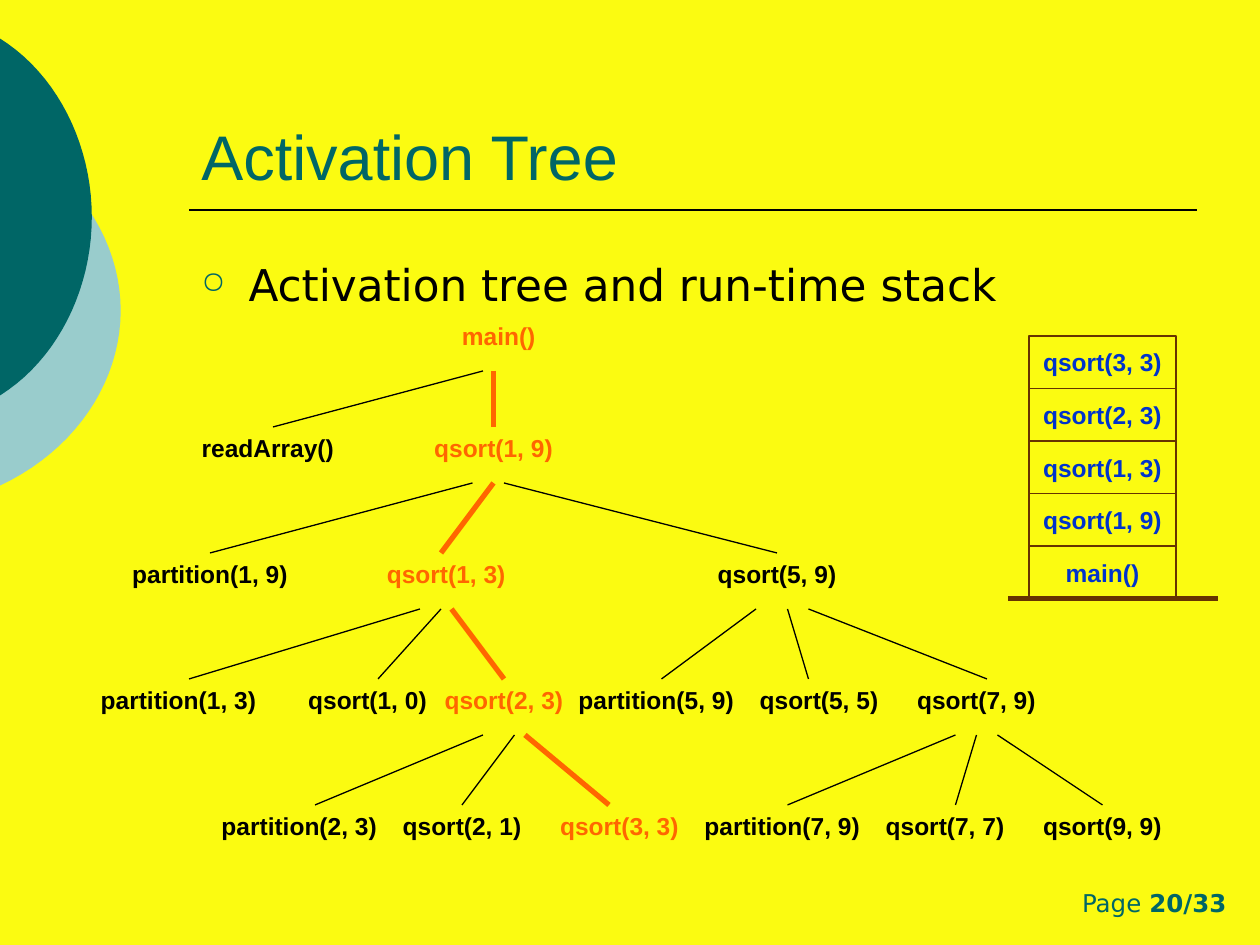
from lxml.etree import SubElement
from pptx import Presentation
from pptx.dml.color import RGBColor
from pptx.enum.shapes import MSO_CONNECTOR, MSO_SHAPE
from pptx.enum.text import MSO_ANCHOR, PP_ALIGN
from pptx.oxml.ns import qn
from pptx.util import Pt

YELLOW = RGBColor(0xFB, 0xFB, 0x11)
TEAL = RGBColor(0x00, 0x66, 0x66)
PALE = RGBColor(0x99, 0xCC, 0xCC)
BLACK = RGBColor(0x00, 0x00, 0x00)
ORANGE = RGBColor(0xFF, 0x66, 0x00)
BROWN = RGBColor(0x66, 0x33, 0x00)
BLUE = RGBColor(0x00, 0x33, 0xCC)
SANS = "DejaVu Sans"

ROOT = ("main()", 234, 102, ORANGE)
TOPS = (180, 244, 316, 388, 460)
STEM = 32
LEVELS = (
    (
        ("readArray()", 108, 90, 276, 156, BLACK),
        ("qsort(1, 9)", 222, 120, 282, 282, ORANGE),
    ),
    (
        ("partition(1, 9)", 66, 108, 270, 120, BLACK),
        ("qsort(1, 3)", 198, 114, 282, 252, ORANGE),
        ("qsort(5, 9)", 402, 84, 288, 444, BLACK),
    ),
    (
        ("partition(1, 3)", 48, 108, 240, 108, BLACK),
        ("qsort(1, 0)", 162, 96, 252, 216, BLACK),
        ("qsort(2, 3)", 228, 120, 258, 288, ORANGE),
        ("partition(5, 9)", 318, 114, 432, 378, BLACK),
        ("qsort(5, 5)", 420, 96, 450, 462, BLACK),
        ("qsort(7, 9)", 504, 108, 462, 564, BLACK),
    ),
    (
        ("partition(2, 3)", 114, 114, 276, 180, BLACK),
        ("qsort(2, 1)", 216, 96, 294, 264, BLACK),
        ("qsort(3, 3)", 300, 108, 300, 348, ORANGE),
        ("partition(7, 9)", 390, 114, 546, 450, BLACK),
        ("qsort(7, 7)", 492, 96, 558, 546, BLACK),
        ("qsort(9, 9)", 576, 108, 570, 630, BLACK),
    ),
)
STACK = ("qsort(3, 3)", "qsort(2, 3)", "qsort(1, 3)", "qsort(1, 9)", "main()")


def style(run, size, color, bold=False, face="Arial"):
    font = run.font
    font.size, font.bold, font.name = Pt(size), bold, face
    font.color.rgb = color


def add_text(slide, text, box, size, color, bold=False, face="Arial",
             align=PP_ALIGN.LEFT, anchor=MSO_ANCHOR.TOP):
    frame = slide.shapes.add_textbox(*map(Pt, box)).text_frame
    frame.word_wrap = True
    frame.vertical_anchor = anchor
    frame.text = text
    par = frame.paragraphs[0]
    par.alignment = align
    style(par.runs[0], size, color, bold, face)
    return par


def add_line(slide, start, end, color, width):
    line = slide.shapes.add_connector(
        MSO_CONNECTOR.STRAIGHT, *map(Pt, start + end))
    line.line.color.rgb = color
    line.line.width = Pt(width)
    SubElement(line._element.spPr, qn("a:effectLst"))


def add_arc(slide, right, middle, half, color):
    points = []
    for step in range(41):
        t = step / 20 - 1
        s = 1 - abs(t)
        x = right * (1.86 * s * (1 - s) ** 2 + 3 * s * s * (1 - s) + s ** 3)
        y = half * (0.6 * s * (1 - s) ** 2 + 1.77 * s * s * (1 - s) + s ** 3)
        offset = half - y
        points.append((Pt(x), Pt(middle + (offset if t > 0 else -offset))))
    path = slide.shapes.build_freeform(*points[0], scale=1.0)
    path.add_line_segments(points[1:], close=True)
    shape = path.convert_to_shape()
    shape.shadow.inherit = False
    shape.fill.solid()
    shape.fill.fore_color.rgb = color
    shape.line.fill.background()


def add_bullet(par):
    props = par._p.get_or_add_pPr()
    props.set("marL", str(Pt(27)))
    props.set("indent", str(Pt(-27)))
    tint = SubElement(props, qn("a:buClr"))
    SubElement(tint, qn("a:srgbClr"), val=str(TEAL))
    SubElement(props, qn("a:buSzPct"), val="70000")
    SubElement(props, qn("a:buChar"), char="○")


def add_node(slide, text, left, top, width, color):
    add_text(slide, text, (left, top, width, 24), 14, color, True,
             align=PP_ALIGN.CENTER)


def add_tree(slide):
    text, left, width, color = ROOT
    add_node(slide, text, left, TOPS[0], width, color)
    for above, top, level in zip(TOPS, TOPS[1:], LEVELS):
        for text, left, width, stem, tip, color in level:
            add_node(slide, text, left, top, width, color)
            add_line(slide, (stem, above + STEM), (tip, top), color,
                     3 if color == ORANGE else 0.75)


def add_frame(slide, text, top):
    shape = slide.shapes.add_shape(
        MSO_SHAPE.RECTANGLE, Pt(588), Pt(top), Pt(84), Pt(30))
    shape.shadow.inherit = False
    shape.fill.background()
    shape.line.color.rgb = BROWN
    shape.line.width = Pt(0.75)
    frame = shape.text_frame
    frame.word_wrap = False
    frame.vertical_anchor = MSO_ANCHOR.MIDDLE
    frame.text = text
    par = frame.paragraphs[0]
    par.alignment = PP_ALIGN.CENTER
    style(par.runs[0], 14, BLUE, True)


def add_stack(slide):
    for row, text in enumerate(STACK):
        add_frame(slide, text, 192 + 30 * row)
    add_line(slide, (576, 342), (696, 342), BROWN, 3)


def main():
    deck = Presentation()
    deck.slide_width, deck.slide_height = Pt(720), Pt(540)
    slide = deck.slides.add_slide(deck.slide_layouts[6])
    slide.background.fill.solid()
    slide.background.fill.fore_color.rgb = YELLOW
    add_arc(slide, 69, 177.5, 100, PALE)
    add_arc(slide, 52.5, 124, 102, TEAL)
    add_line(slide, (108, 120), (684, 120), BLACK, 1)
    page = add_text(slide, "Page ", (546, 504, 162, 24), 14, TEAL,
                    face=SANS, align=PP_ALIGN.RIGHT)
    count = page.add_run()
    count.text = "20/33"
    style(count, 14, TEAL, True, SANS)
    add_text(slide, "Activation Tree", (108, 24, 576, 90), 36, TEAL,
             anchor=MSO_ANCHOR.BOTTOM)
    topic = add_text(slide, "Activation tree and run-time stack",
                     (108, 144, 576, 324), 25, BLACK, face=SANS)
    add_bullet(topic)
    add_tree(slide)
    add_stack(slide)
    deck.save("out.pptx")


if __name__ == "__main__":
    main()
